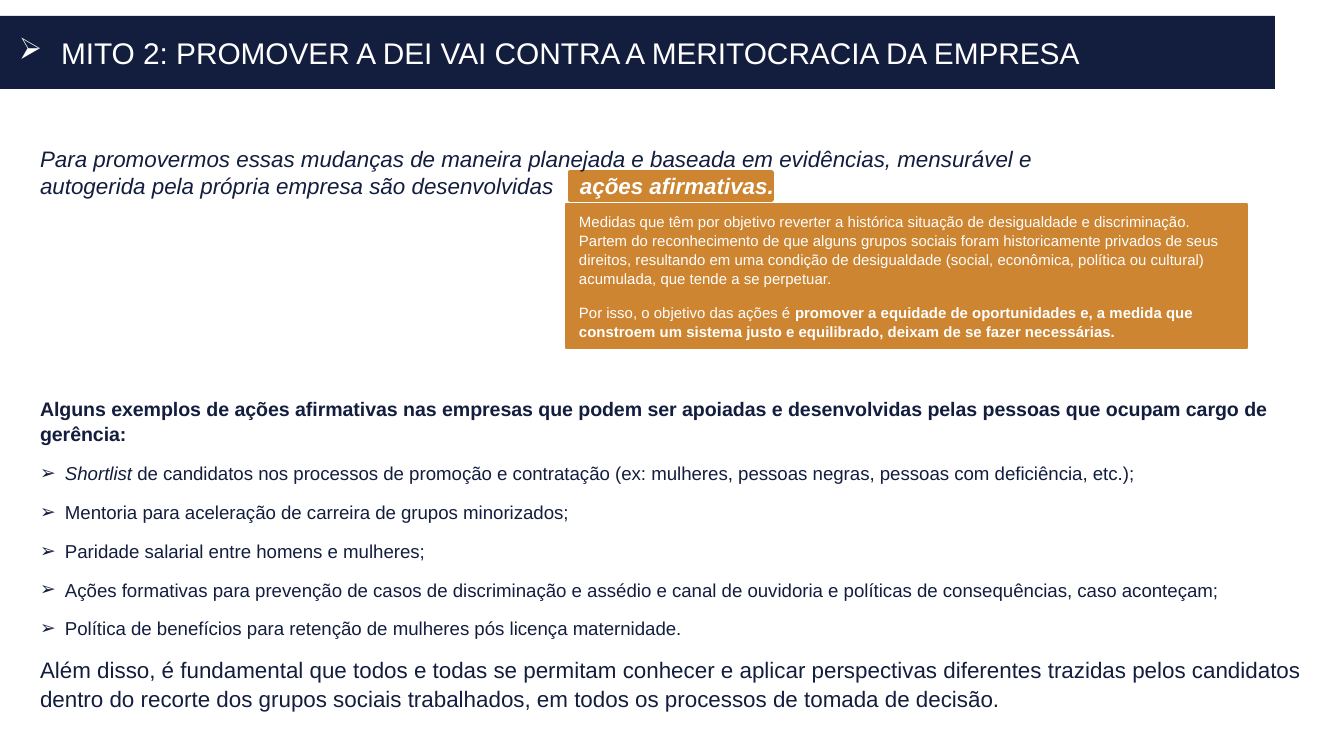
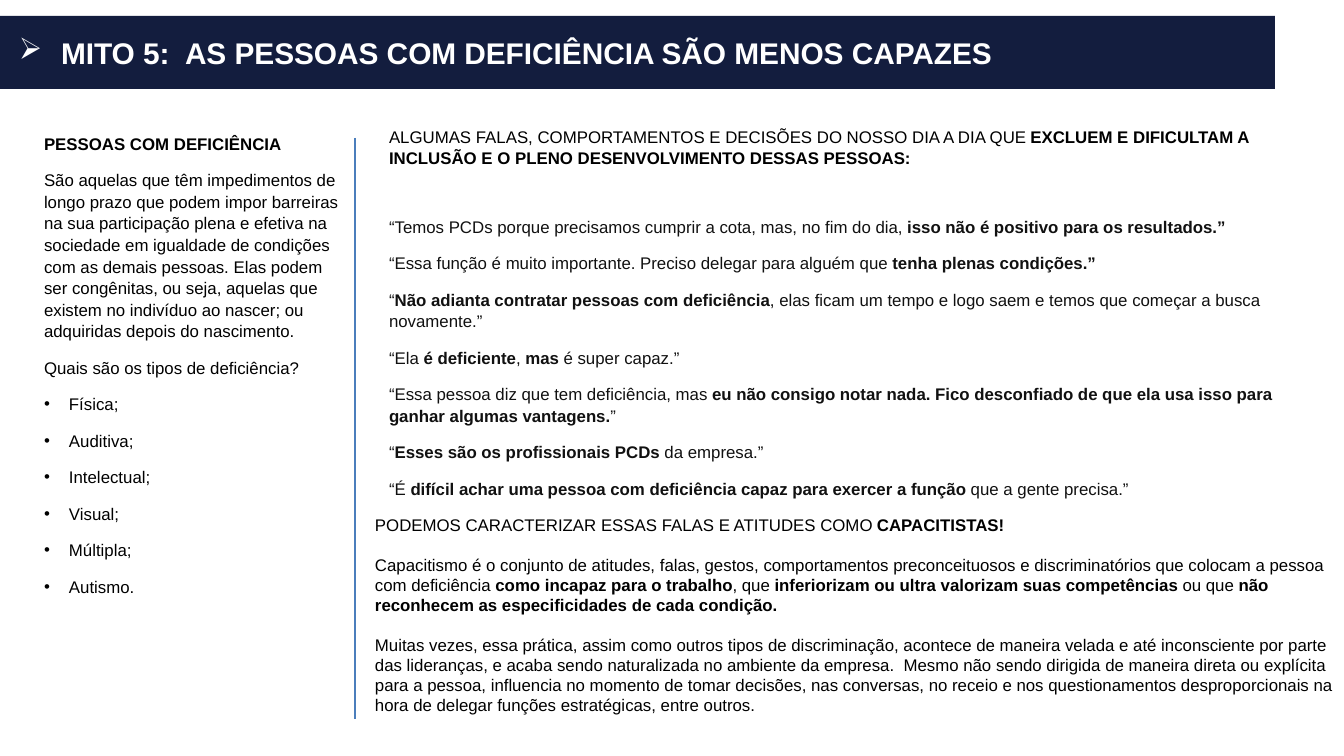
import dataclasses
from typing import Any

import lxml.etree
import pptx
import pptx.dml.color
import pptx.enum.shapes
import pptx.enum.text
import pptx.oxml.ns
import pptx.util

# Shared scale, colours and type
WIDE, HIGH = 1344, 756
SCALE = 9144000 / WIDE
FONT = "Arial"
NAVY, GOLD, BLUE = "131D3E", "CD8532", "4B7EBC"
WHITE, BLACK, INK = "FFFFFF", "000000", "111111"
ARROW, DOT = "➢", "•"
LOOSE = 1.07
INSET, EDGE = 13, 7


@dataclasses.dataclass(frozen=True)
class Box:
    left: int
    top: int
    width: int
    height: int


@dataclasses.dataclass(frozen=True)
class Para:
    """In the text, *stars* mark bold and _lines_ mark italic."""
    text: str
    size: float = 9
    color: str = BLACK
    bullet: str = ""
    indent: int = 25
    hang: int = 25
    after: float = 8
    pitch: float = LOOSE


BAND = Box(0, 16, 1275, 73)


def px(size: float) -> pptx.util.Emu:
    return pptx.util.Emu(round(size * SCALE))


def rgb(code: str) -> pptx.dml.color.RGBColor:
    return pptx.dml.color.RGBColor.from_string(code)


def apply(item: Any, values: dict[str, Any]) -> None:
    for name, value in values.items():
        setattr(item, name, value)


# Text
def mark(line: Any, para: Para) -> None:
    props = line._p.get_or_add_pPr()
    tag = pptx.oxml.ns.qn
    if para.bullet:
        props.set("marL", str(px(para.indent)))
        props.set("indent", str(-px(para.hang)))
        lxml.etree.SubElement(props, tag("a:buChar")).set("char", para.bullet)
    else:
        props.set("marL", "0")
        props.set("indent", "0")
        lxml.etree.SubElement(props, tag("a:buNone"))


def write(shape: Any, paras: list[Para], middle: bool = False,
          side: int = INSET, edge: int = EDGE) -> None:
    anchor = pptx.enum.text.MSO_ANCHOR
    frame = shape.text_frame
    apply(frame, {
        "word_wrap": True,
        "auto_size": pptx.enum.text.MSO_AUTO_SIZE.NONE,
        "vertical_anchor": anchor.MIDDLE if middle else anchor.TOP,
        "margin_left": px(side), "margin_right": px(side),
        "margin_top": px(edge), "margin_bottom": px(edge),
    })
    for order, para in enumerate(paras):
        line = frame.add_paragraph() if order else frame.paragraphs[0]
        apply(line, {
            "alignment": pptx.enum.text.PP_ALIGN.LEFT,
            "line_spacing": para.pitch,
            "space_before": pptx.util.Pt(0),
            "space_after": pptx.util.Pt(para.after),
        })
        mark(line, para)
        for bold, part in enumerate(para.text.split("*")):
            for slant, piece in enumerate(part.split("_")):
                if not piece:
                    continue
                run = line.add_run()
                run.text = piece
                apply(run.font, {
                    "name": FONT, "size": pptx.util.Pt(para.size),
                    "bold": bold % 2 == 1, "italic": slant % 2 == 1,
                })
                run.font.color.rgb = rgb(para.color)


# Parts
def place(shape: Any, box: Box) -> None:
    apply(shape, {name: px(size)
                  for name, size in dataclasses.asdict(box).items()})


def paint(shape: Any, color: str) -> None:
    shape.fill.solid()
    shape.fill.fore_color.rgb = rgb(color)


def block(slide: Any, box: Box, color: str, weight: float) -> Any:
    kind = pptx.enum.shapes.MSO_SHAPE.RECTANGLE
    shape = slide.shapes.add_shape(kind, 0, 0, 0, 0)
    place(shape, box)
    paint(shape, color)
    shape.shadow.inherit = False
    shape.line.color.rgb = rgb(color)
    shape.line.width = pptx.util.Pt(weight)
    return shape


def note(slide: Any, box: Box, paras: list[Para]) -> None:
    shape = slide.shapes.add_textbox(0, 0, 0, 0)
    place(shape, box)
    write(shape, paras)


def rule(slide: Any, left: int, top: int, end: int) -> None:
    kind = pptx.enum.shapes.MSO_CONNECTOR.STRAIGHT
    line = slide.shapes.add_connector(kind, px(left), px(top), px(left), px(end))
    line.line.color.rgb = rgb(BLUE)
    line.line.width = pptx.util.Pt(0.75)
    lxml.etree.SubElement(line._element.spPr, pptx.oxml.ns.qn("a:effectLst"))


def start(deck: Any, title: str, box: Box, paras: list[Para]) -> Any:
    """Add a slide with its title band and its main list."""
    slide = deck.slides.add_slide(deck.slide_layouts[1])
    head, body = slide.shapes.title, slide.placeholders[1]
    place(head, BAND)
    paint(head, NAVY)
    write(head, [Para(title, 16, WHITE, ARROW, 48, 42, 5, 1)], middle=True)
    place(body, box)
    write(body, paras)
    return slide


# Slide on merit
def merit(deck: Any) -> None:
    acts = [
        "_Shortlist_ de candidatos nos processos de promoção e contratação "
        "(ex: mulheres, pessoas negras, pessoas com deficiência, etc.);",
        "Mentoria para aceleração de carreira de grupos minorizados;",
        "Paridade salarial entre homens e mulheres;",
        "Ações formativas para prevenção de casos de discriminação e assédio "
        "e canal de ouvidoria e políticas de consequências, caso aconteçam;",
        "Política de benefícios para retenção de mulheres pós licença "
        "maternidade.",
    ]
    lead = Para(
        "*Alguns exemplos de ações afirmativas nas empresas que podem ser "
        "apoiadas e desenvolvidas pelas pessoas que ocupam cargo de gerência:*",
        10.5, NAVY)
    close = Para(
        "Além disso, é fundamental que todos e todas se permitam conhecer e "
        "aplicar perspectivas diferentes trazidas pelos candidatos dentro do "
        "recorte dos grupos sociais trabalhados, em todos os processos de "
        "tomada de decisão.", 12, NAVY)
    slide = start(
        deck, "MITO 2: PROMOVER A DEI VAI CONTRA A MERITOCRACIA DA EMPRESA",
        Box(27, 388, 1317, 332),
        [lead, *(Para(act, 10, NAVY, ARROW) for act in acts), close])

    panel = block(slide, Box(566, 204, 681, 144), GOLD, 0.75)
    write(panel, [Para(text, 8, WHITE) for text in (
        "Medidas que têm por objetivo reverter a histórica situação de "
        "desigualdade e discriminação. Partem do reconhecimento de que alguns "
        "grupos sociais foram historicamente privados de seus direitos, "
        "resultando em uma condição de desigualdade (social, econômica, "
        "política ou cultural) acumulada, que tende a se perpetuar.",
        "Por isso, o objetivo das ações é *promover a equidade de "
        "oportunidades e, a medida que constroem um sistema justo e "
        "equilibrado, deixam de se fazer necessárias.*",
    )])
    chip = block(slide, Box(570, 172, 202, 28), GOLD, 2)
    write(chip, [Para("*_ações afirmativas._*", 12, WHITE, after=0, pitch=1)],
          middle=True, side=0, edge=0)
    apply(chip.text_frame, {"margin_left": px(10), "word_wrap": False})
    note(slide, Box(27, 138, 1078, 67), [Para(
        "_Para promovermos essas mudanças de maneira planejada e baseada em "
        "evidências, mensurável e autogerida pela própria empresa são "
        "desenvolvidas_", 12, NAVY, after=0, pitch=1)])


# Slide on ability
def skill(deck: Any) -> None:
    kinds = ["Física;", "Auditiva;", "Intelectual;", "Visual;", "Múltipla;",
             "Autismo."]
    about = [
        "*PESSOAS COM DEFICIÊNCIA*",
        "São aquelas que têm impedimentos de longo prazo que podem impor "
        "barreiras na sua participação plena e efetiva na sociedade em "
        "igualdade de condições com as demais pessoas. Elas podem ser "
        "congênitas, ou seja, aquelas que existem no indivíduo ao nascer; ou "
        "adquiridas depois do nascimento.",
        "Quais são os tipos de deficiência?",
    ]
    slide = start(
        deck, "*MITO 5:  AS PESSOAS COM DEFICIÊNCIA SÃO MENOS CAPAZES*",
        Box(31, 125, 324, 519),
        [*map(Para, about), *(Para(kind, bullet=DOT) for kind in kinds)])
    rule(slide, 355, 138, 719)

    note(slide, Box(376, 118, 953, 129), [Para(
        "ALGUMAS FALAS, COMPORTAMENTOS E DECISÕES DO NOSSO DIA A DIA QUE "
        "*EXCLUEM E DIFICULTAM A INCLUSÃO E O PLENO DESENVOLVIMENTO DESSAS "
        "PESSOAS:*")])
    note(slide, Box(376, 208, 931, 298), [Para(text, color=INK) for text in (
        "“Temos PCDs porque precisamos cumprir a cota, mas, no fim do dia, "
        "*isso não é positivo para os resultados.”*",
        "“Essa função é muito importante. Preciso delegar para alguém que "
        "*tenha plenas condições.”*",
        "“*Não adianta contratar pessoas com deficiência*, elas ficam um "
        "tempo e logo saem e temos que começar a busca novamente.”",
        "“Ela *é deficiente*, *mas* é super capaz.”",
        "“Essa pessoa diz que tem deficiência, mas *eu não consigo notar "
        "nada. Fico desconfiado de que ela usa isso para ganhar algumas "
        "vantagens.*”",
        "“*Esses são os profissionais PCDs *da empresa.”",
        "“É *difícil achar uma pessoa com deficiência capaz para exercer a "
        "função *que a gente precisa.”",
    )])
    note(slide, Box(362, 508, 985, 298), [
        Para(text, after=10.35, pitch=1) for text in (
            "PODEMOS CARACTERIZAR ESSAS FALAS E ATITUDES COMO *CAPACITISTAS!*",
            "Capacitismo é o conjunto de atitudes, falas, gestos, "
            "comportamentos preconceituosos e discriminatórios que colocam a "
            "pessoa com deficiência *como incapaz para o trabalho*, que "
            "*inferiorizam ou ultra valorizam suas competências *ou que *não "
            "reconhecem as especificidades de cada condição.*",
            "Muitas vezes, essa prática, assim como outros tipos de "
            "discriminação, acontece de maneira velada e até inconsciente por "
            "parte das lideranças, e acaba sendo naturalizada no ambiente da "
            "empresa.  Mesmo não sendo dirigida de maneira direta ou explícita "
            "para a pessoa, influencia no momento de tomar decisões, nas "
            "conversas, no receio e nos questionamentos desproporcionais na "
            "hora de delegar funções estratégicas, entre outros.",
        )])


def main() -> None:
    deck = pptx.Presentation()
    apply(deck, {"slide_width": px(WIDE), "slide_height": px(HIGH)})
    merit(deck)
    skill(deck)
    deck.save("out.pptx")


if __name__ == "__main__":
    main()
